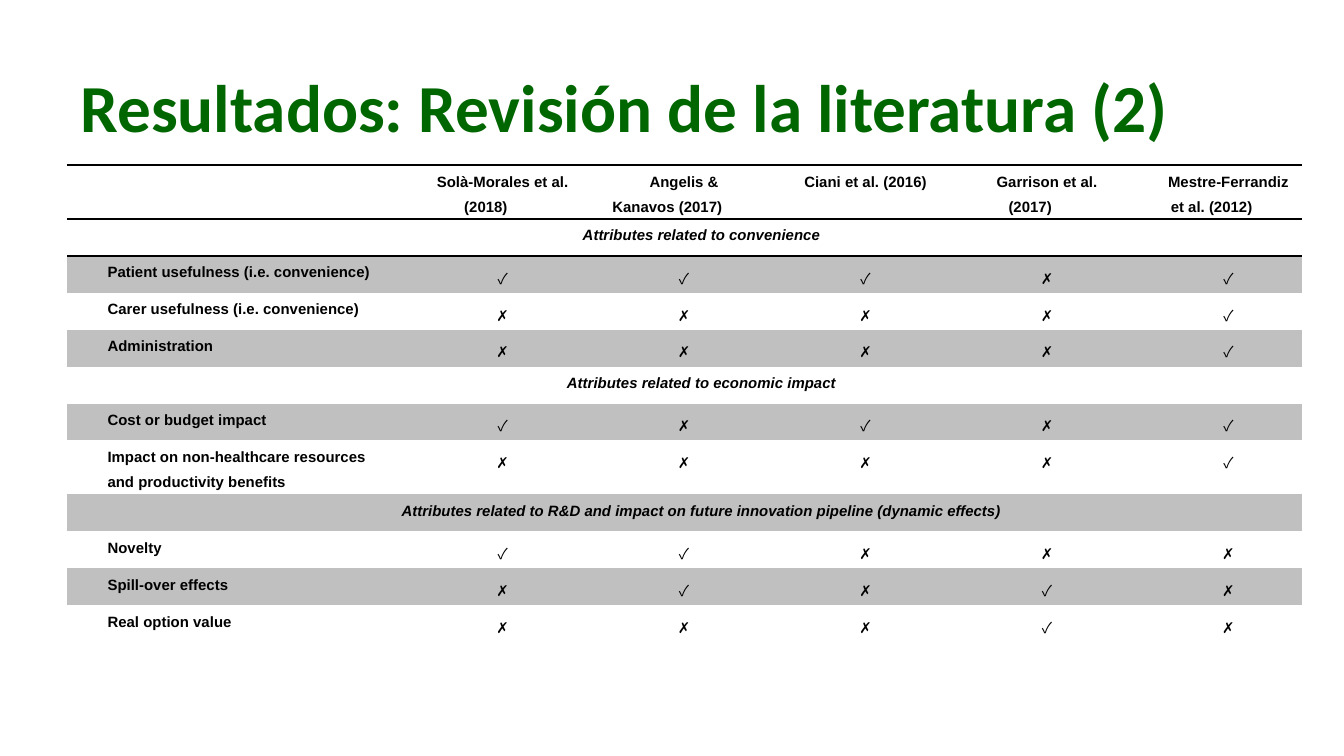
from dataclasses import dataclass
from typing import Any

from lxml import etree
from pptx import Presentation
from pptx import util as u
from pptx.dml import color as c
from pptx.enum import text as t
from pptx.oxml import ns

BLACK, GREEN, GRAY = "000000", "006600", "C0C0C0"
NO_GRID_STYLE = "{2D5ABB26-0587-4C30-8999-92F81FD0307C}"
LABEL_WIDTH, STUDY_WIDTH = 175.7, 97.2
HEADER_HEIGHT, ROW_HEIGHT = 28.4, 19.8
INDENT = 18

LABEL_FORMAT = {"name": "Arial", "size": u.Pt(8), "bold": True, "italic": False}
SECTION_FORMAT = LABEL_FORMAT | {"italic": True}
MARK_FORMAT = LABEL_FORMAT | {"name": "Noto Sans CJK JP", "bold": False}
TITLE_FORMAT = {"name": "Calibri", "size": u.Pt(36), "bold": True}


@dataclass
class Attribute:
    label: str
    marks: str = ""
    hanging: bool = False


STUDIES = [
    "Solà-Morales et al. (2018)",
    "Angelis & Kanavos (2017)",
    "Ciani et al. (2016)",
    "Garrison et al. (2017)",
    "Mestre-Ferrandiz et al. (2012)",
]
ATTRIBUTES = [
    Attribute("Attributes related to convenience"),
    Attribute("Patient usefulness (i.e. convenience)", "✓✓✓✗✓"),
    Attribute("Carer usefulness (i.e. convenience)", "✗✗✗✗✓"),
    Attribute("Administration", "✗✗✗✗✓"),
    Attribute("Attributes related to economic impact"),
    Attribute("Cost or budget impact", "✓✗✓✗✓"),
    Attribute("Impact on non-healthcare resources and productivity benefits", "✗✗✗✗✓", True),
    Attribute("Attributes related to R&D and impact on future innovation pipeline (dynamic effects)"),
    Attribute("Novelty", "✓✓✗✗✗"),
    Attribute("Spill-over effects", "✗✓✗✓✗"),
    Attribute("Real option value", "✗✗✗✓✗"),
]


def set_color(target: Any, value: str) -> None:
    target.rgb = c.RGBColor.from_string(value)


def write(paragraph: Any, text: str, formats: dict[str, Any], color: str) -> None:
    run = paragraph.add_run()
    run.text = text
    for name, value in formats.items():
        setattr(run.font, name, value)
    set_color(run.font.color, color)
    east_asian = etree.SubElement(run.font._element, ns.qn("a:ea"))
    east_asian.set("typeface", formats["name"])


def write_cell(cell: Any, text: str, formats: dict[str, Any],
               centered: bool = True, hanging: bool = False) -> None:
    paragraph = cell.text_frame.paragraphs[0]
    paragraph.line_spacing = 1.5
    paragraph.alignment = t.PP_ALIGN.CENTER if centered else t.PP_ALIGN.LEFT
    properties = paragraph._p.get_or_add_pPr()
    properties.set("marL", str(u.Pt(INDENT if hanging else 0)))
    properties.set("indent", str(u.Pt(0 if hanging else INDENT)))
    write(paragraph, text, formats, BLACK)


def style_cell(cell: Any, shaded: bool, borders: list[str]) -> None:
    margins = {"margin_left": 3.6, "margin_right": 3.6, "margin_top": 0, "margin_bottom": 0}
    for name, value in margins.items():
        setattr(cell, name, u.Pt(value))
    if shaded:
        cell.fill.solid()
        set_color(cell.fill.fore_color, GRAY)
    else:
        cell.fill.background()
    properties = cell._tc.get_or_add_tcPr()
    for index, tag in enumerate(borders):
        line = etree.Element(ns.qn(tag), w=str(u.Pt(1)))
        fill = etree.SubElement(line, ns.qn("a:solidFill"))
        etree.SubElement(fill, ns.qn("a:srgbClr"), val=BLACK)
        properties.insert(index, line)


def add_title(slide: Any, text: str) -> None:
    box = slide.shapes.add_textbox(u.Pt(36), u.Pt(23), u.Pt(642), u.Pt(67.7))
    box.text_frame.word_wrap = True
    box.text_frame.vertical_anchor = t.MSO_ANCHOR.MIDDLE
    write(box.text_frame.paragraphs[0], text, TITLE_FORMAT, GREEN)


def add_review_table(slide: Any) -> None:
    row_count, column_count = len(ATTRIBUTES) + 1, len(STUDIES) + 1
    width = LABEL_WIDTH + STUDY_WIDTH * len(STUDIES)
    height = HEADER_HEIGHT + ROW_HEIGHT * len(ATTRIBUTES)
    table = slide.shapes.add_table(row_count, column_count, u.Pt(36), u.Pt(88.5),
                                   u.Pt(width), u.Pt(height)).table
    table.first_row = table.horz_banding = False
    table._tbl.tblPr.find(ns.qn("a:tableStyleId")).text = NO_GRID_STYLE
    for index, column in enumerate(table.columns):
        column.width = u.Pt(STUDY_WIDTH if index else LABEL_WIDTH)
    borders = {0: ["a:lnT", "a:lnB"], 1: ["a:lnT"]}
    for index, row in enumerate(table.rows):
        row.height = u.Pt(ROW_HEIGHT if index else HEADER_HEIGHT)
        for cell in row.cells:
            style_cell(cell, index > 0 and index % 2 == 0, borders.get(index, []))

    for column, study in enumerate(STUDIES, 1):
        write_cell(table.cell(0, column), study, LABEL_FORMAT)
    for row, attribute in enumerate(ATTRIBUTES, 1):
        first = table.cell(row, 0)
        if not attribute.marks:
            first.merge(table.cell(row, column_count - 1))
            write_cell(first, attribute.label, SECTION_FORMAT)
            continue
        write_cell(first, attribute.label, LABEL_FORMAT, False, attribute.hanging)
        for column, mark in enumerate(attribute.marks, 1):
            write_cell(table.cell(row, column), mark, MARK_FORMAT)


def main() -> None:
    presentation = Presentation()
    presentation.slide_width, presentation.slide_height = u.Pt(720), u.Pt(405)
    slide = presentation.slides.add_slide(presentation.slide_layouts[6])
    add_title(slide, "Resultados: Revisión de la literatura (2)")
    add_review_table(slide)
    presentation.save("out.pptx")


if __name__ == "__main__":
    main()
